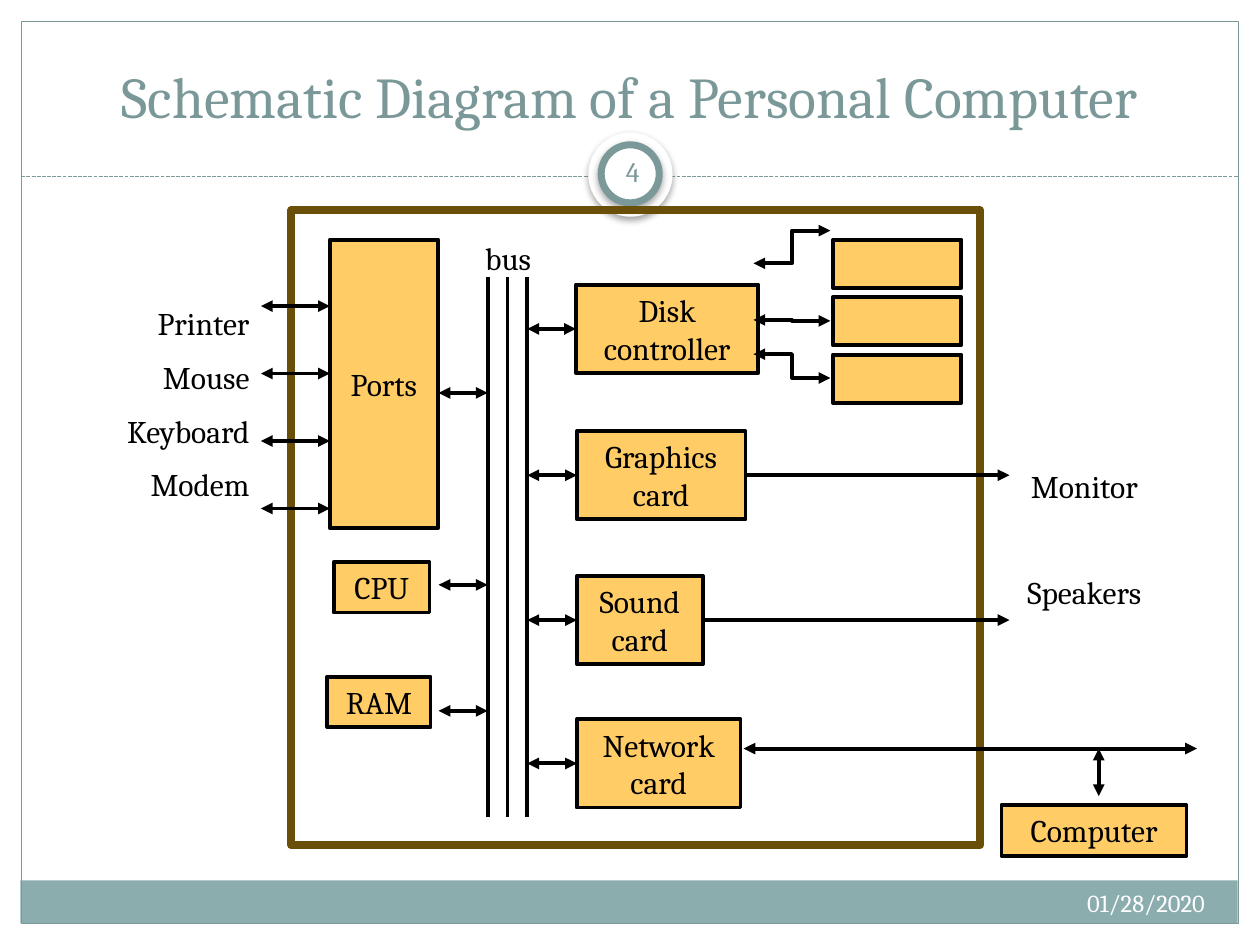
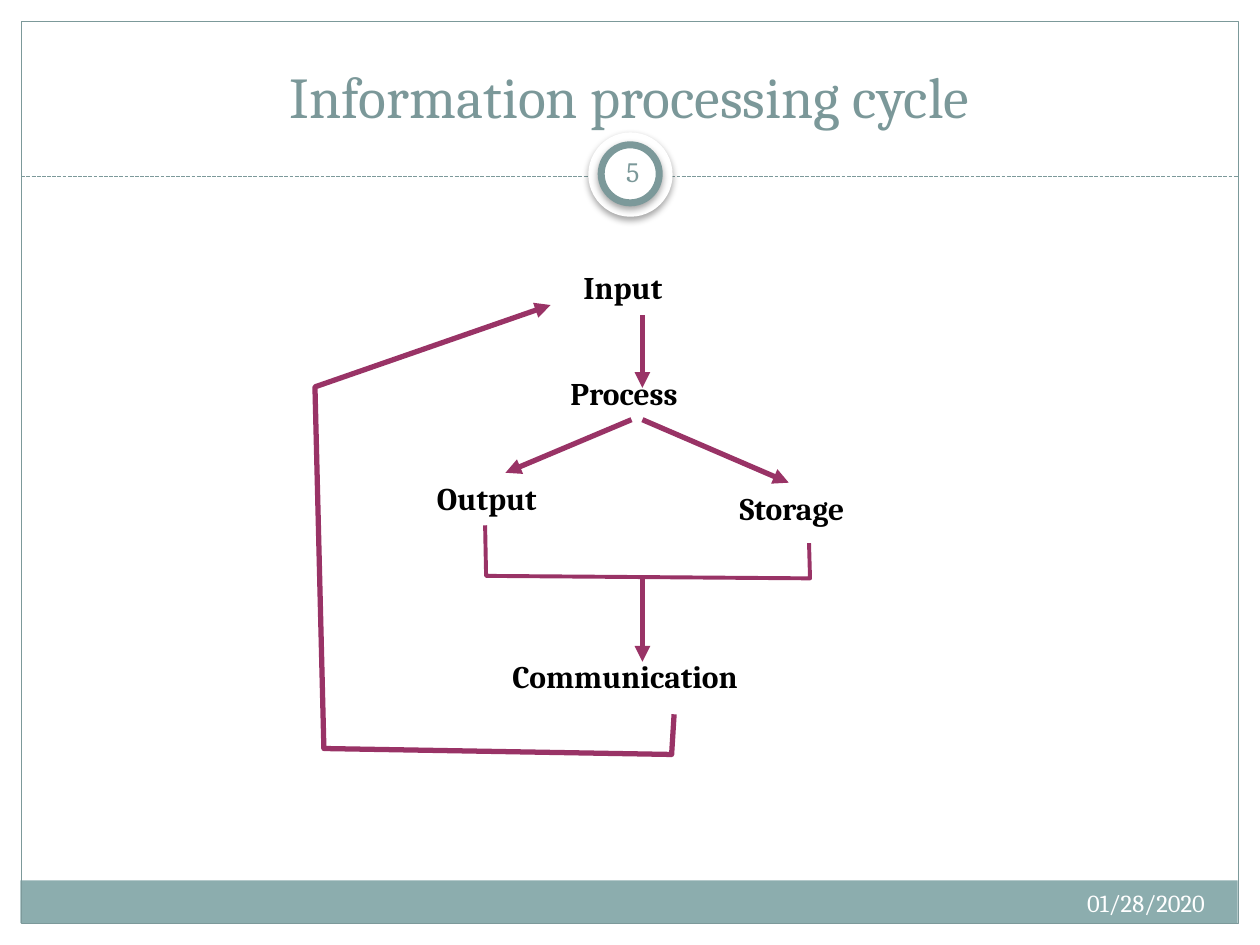
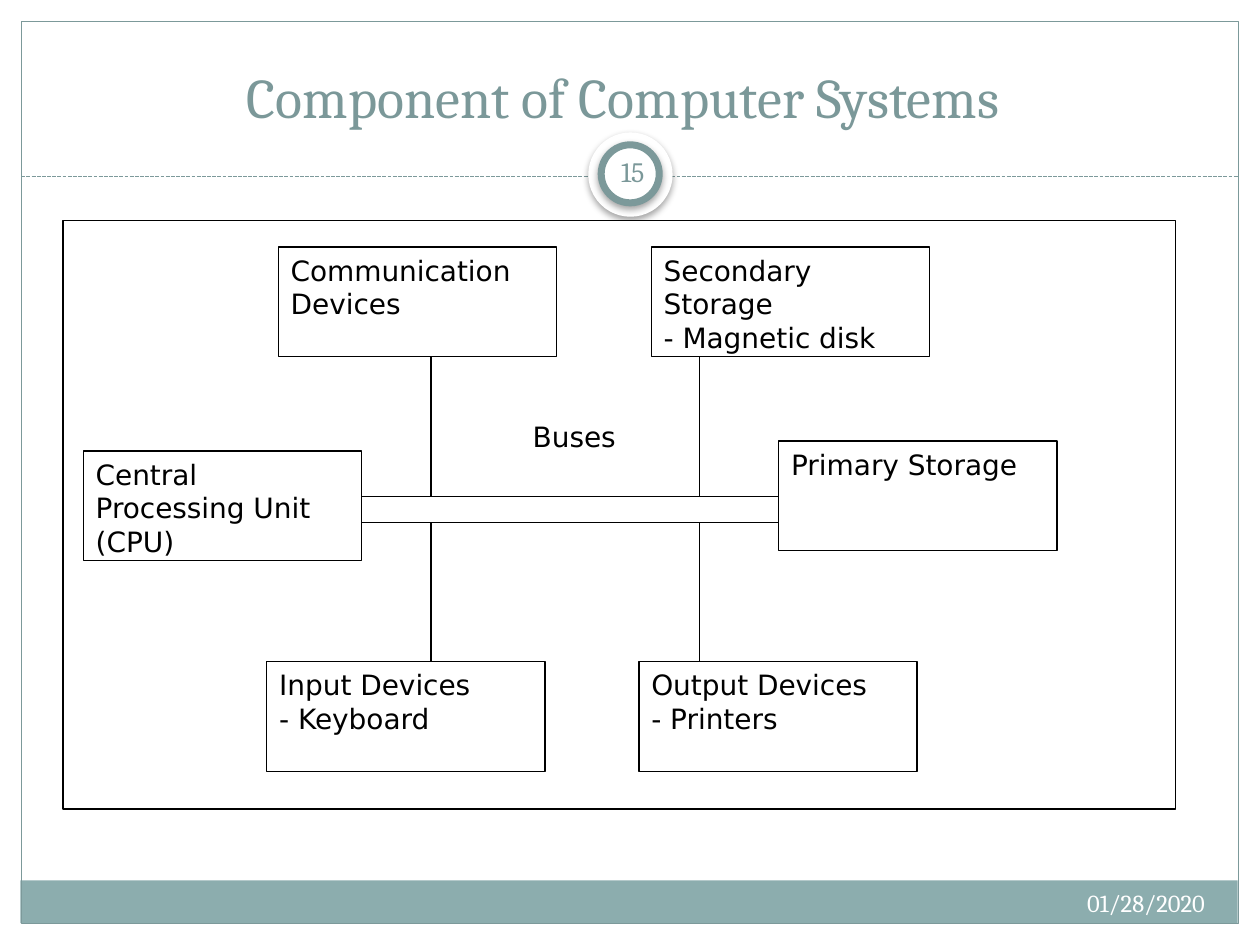
from dataclasses import dataclass, replace
from typing import Optional

from lxml import etree
from pptx import Presentation
from pptx import util as u
from pptx.dml.color import RGBColor
from pptx.enum import dml, shapes, text
from pptx.oxml.ns import qn

WHITE = RGBColor(0xFF, 0xFF, 0xFF)
BLACK = RGBColor(0x00, 0x00, 0x00)
TEAL = RGBColor(0x7C, 0x99, 0x9A)
TEAL_TEXT = RGBColor(0x7B, 0x98, 0x99)
TEAL_BAND = RGBColor(0x8C, 0xAD, 0xAE)
AMBER = RGBColor(0xFF, 0xCC, 0x66)
BROWN = RGBColor(0x69, 0x4F, 0x07)
PLUM = RGBColor(0x99, 0x33, 0x66)

LEFT, CENTER, RIGHT = text.PP_ALIGN.LEFT, text.PP_ALIGN.CENTER, text.PP_ALIGN.RIGHT
TOP, MIDDLE, BOTTOM = text.MSO_ANCHOR.TOP, text.MSO_ANCHOR.MIDDLE, text.MSO_ANCHOR.BOTTOM
RECTANGLE, OVAL = shapes.MSO_SHAPE.RECTANGLE, shapes.MSO_SHAPE.OVAL
STRAIGHT, ELBOW = shapes.MSO_CONNECTOR.STRAIGHT, shapes.MSO_CONNECTOR.ELBOW
LEFT_SIDE, RIGHT_SIDE = 1, 3


@dataclass(frozen=True)
class Box:
    """A rectangle in centimetres."""
    left: float
    top: float
    width: float
    height: float

    def lengths(self) -> tuple:
        return tuple(u.Cm(n) for n in (self.left, self.top, self.width, self.height))


@dataclass(frozen=True)
class TextStyle:
    size: float
    color: RGBColor = BLACK
    font: str = "Cambria"
    bold: bool = False
    align: int = LEFT
    anchor: int = TOP
    space_before: float = 0
    wrap: bool = True


@dataclass(frozen=True)
class Stroke:
    color: RGBColor
    width: float
    head: bool = False
    tail: bool = False


@dataclass(frozen=True)
class Label:
    caption: str
    box: Box


TITLE = TextStyle(33, TEAL_TEXT, align=CENTER, anchor=BOTTOM)
NUMBER = TextStyle(16, TEAL_TEXT, align=CENTER, anchor=MIDDLE)
DATE = TextStyle(14, WHITE, align=RIGHT)
PART = TextStyle(18, align=CENTER, anchor=MIDDLE, space_before=9, wrap=False)
STEP = TextStyle(18, bold=True, wrap=False)
DEVICE = TextStyle(16, font="DejaVu Sans")

THIN_TEAL = Stroke(TEAL, 0.75)
THIN_BLACK = Stroke(BLACK, 0.75)
WIRE = Stroke(BLACK, 2.25)
ONE_WAY = replace(WIRE, tail=True)
TWO_WAY = replace(ONE_WAY, head=True)
FLOW = Stroke(PLUM, 3, tail=True)


def set_stroke(shape, stroke: Stroke) -> None:
    shape.line.color.rgb = stroke.color
    shape.line.width = u.Pt(stroke.width)
    outline = shape.element.spPr.find(qn("a:ln"))
    for tag, wanted in (("a:headEnd", stroke.head), ("a:tailEnd", stroke.tail)):
        if wanted:
            etree.SubElement(outline, qn(tag), type="triangle")


def write(shape, caption: str, style: TextStyle):
    """Fill the shape's text frame; \\n parts paragraphs and \\v breaks a line."""
    frame = shape.text_frame
    frame.word_wrap = style.wrap
    frame.vertical_anchor = style.anchor
    frame.text = caption
    for paragraph in frame.paragraphs:
        paragraph.alignment = style.align
        paragraph.space_before = u.Pt(style.space_before)
        paragraph.font.size = u.Pt(style.size)
        paragraph.font.name = style.font
        paragraph.font.bold = style.bold
        paragraph.font.color.rgb = style.color
    return frame


def add_text(slide, caption: str, box: Box, style: TextStyle):
    return write(slide.shapes.add_textbox(*box.lengths()), caption, style)


def add_figure(slide, box: Box, fill: Optional[RGBColor] = None,
               stroke: Optional[Stroke] = None, kind: int = RECTANGLE):
    shape = slide.shapes.add_shape(kind, *box.lengths())
    shape.shadow.inherit = False
    if fill is None:
        shape.fill.background()
    else:
        shape.fill.solid()
        shape.fill.fore_color.rgb = fill
    if stroke is None:
        shape.line.fill.background()
    else:
        set_stroke(shape, stroke)
    return shape


def add_line(slide, start: tuple, end: tuple, stroke: Stroke, kind: int = STRAIGHT):
    connector = slide.shapes.add_connector(kind, *(u.Cm(n) for n in start + end))
    set_stroke(connector, stroke)
    etree.SubElement(connector.element.spPr, qn("a:effectLst"))
    return connector


def add_link(slide, shape, side: int, end_x: float, stroke: Stroke) -> None:
    """Run a level line from the middle of a shape's side to end_x."""
    middle = (shape.top + shape.height // 2) / u.Cm(1)
    connector = add_line(slide, (end_x, middle), (end_x, middle), stroke)
    connector.begin_connect(shape, side)


def add_path(slide, points: list, stroke: Stroke) -> None:
    (start_x, start_y), *rest = [(u.Cm(x), u.Cm(y)) for x, y in points]
    builder = slide.shapes.build_freeform(start_x, start_y)
    builder.add_line_segments(rest, close=False)
    shape = builder.convert_to_shape()
    shape.shadow.inherit = False
    shape.fill.background()
    set_stroke(shape, stroke)


def add_soft_shadow(shape) -> None:
    effects = shape.element.spPr.find(qn("a:effectLst"))
    shadow = etree.SubElement(effects, qn("a:outerShdw"), blurRad=str(u.Pt(4)),
                              dist=str(u.Pt(2)), dir="5400000", rotWithShape="0")
    color = etree.SubElement(shadow, qn("a:srgbClr"), val=str(BLACK))
    etree.SubElement(color, qn("a:alpha"), val="35000")


def add_base_slide(presentation, title: str, number: int, title_style: TextStyle = TITLE):
    """Add a slide with the band, border, number badge, title and date."""
    slide = presentation.slides.add_slide(presentation.slide_layouts[6])
    add_figure(slide, Box(0.41, 17.75, 24.54, 0.86), TEAL_BAND)
    add_figure(slide, Box(0.43, 0.43, 24.54, 18.19), stroke=THIN_TEAL)
    divider = add_line(slide, (0.43, 3.56), (24.97, 3.56), THIN_TEAL)
    divider.line.dash_style = dml.MSO_LINE.SQUARE_DOT
    badge = Box(11.86, 2.67, 1.7, 1.7)
    ring = Box(12.12, 2.92, 1.17, 1.17)
    for box, stroke in ((badge, None), (ring, Stroke(TEAL, 4))):
        add_soft_shadow(add_figure(slide, box, WHITE, stroke, OVAL))
    add_text(slide, title, Box(0.84, 0.64, 23.7, 2.11), title_style)
    frame = add_text(slide, str(number), Box(12.12, 2.84, 1.27, 1.22), NUMBER)
    frame.margin_left = frame.margin_right = u.Cm(0.13)
    add_text(slide, "01/28/2020", Box(16.08, 17.78, 8.46, 1.02), DATE)
    return slide


def add_schematic_slide(presentation) -> None:
    slide = add_base_slide(presentation, "Schematic Diagram of a Personal Computer", 4)
    add_figure(slide, Box(5.87, 4.24, 13.89, 12.8), stroke=Stroke(BROWN, 4.5))

    parts = [
        Label("Ports", Box(6.65, 4.83, 2.18, 5.82)),
        Label("CPU", Box(6.73, 11.33, 1.93, 1.02)),
        Label("RAM", Box(6.6, 13.64, 2.08, 1.02)),
        Label("Disk\vcontroller", Box(11.61, 5.74, 3.68, 1.78)),
        Label("Graphics\vcard", Box(11.63, 8.69, 3.4, 1.78)),
        Label("Sound\vcard", Box(11.63, 11.61, 2.54, 1.78)),
        Label("Network\vcard", Box(11.63, 14.5, 3.3, 1.78)),
        Label("Computer", Box(20.19, 16.23, 3.73, 1.02)),
    ]
    part_shapes = []
    for part in parts:
        shape = add_figure(slide, part.box, AMBER, WIRE)
        write(shape, part.caption, PART)
        part_shapes.append(shape)
    cards = part_shapes[3:7]
    graphics, sound = cards[1:3]
    for row in range(3):
        add_figure(slide, Box(16.79, 4.83 + 1.16 * row, 2.59, 0.97), AMBER, WIRE)

    add_text(slide, "Printer\nMouse\nKeyboard\nModem", Box(1.7, 6.02, 3.58, 4.24),
             replace(PART, align=RIGHT))
    add_text(slide, "bus", Box(9.42, 4.7, 1.65, 1.02), PART)
    outputs = add_text(slide, "Monitor\nSpeakers", Box(20.12, 9.27, 3.48, 3.18), PART)
    outputs.paragraphs[1].space_before = u.Pt(39)

    bus_left, bus_gap = 9.83, 0.4
    bus_right = bus_left + 2 * bus_gap
    for wire in range(3):
        x = bus_left + bus_gap * wire
        add_line(slide, (x, 5.59), (x, 16.46), WIRE)
    for card in cards:
        add_link(slide, card, LEFT_SIDE, bus_right, TWO_WAY)
    for y in (7.92, 11.79, 14.33):
        add_line(slide, (bus_left, y), (8.84, y), TWO_WAY)
    for row in range(4):
        y = 6.17 + 1.36 * row
        add_line(slide, (6.65, y), (5.26, y), TWO_WAY)

    for start_y, end_y in ((5.31, 4.65), (6.45, 6.47), (7.14, 7.62)):
        add_line(slide, (15.19, start_y), (16.74, end_y), TWO_WAY, ELBOW)
    for card in (graphics, sound):
        add_link(slide, card, RIGHT_SIDE, 20.35, ONE_WAY)
    network_y = 15.09
    add_line(slide, (14.99, network_y), (24.13, network_y), TWO_WAY)
    add_line(slide, (22.15, network_y), (22.15, 16.05), TWO_WAY)


def add_cycle_slide(presentation) -> None:
    slide = add_base_slide(presentation, "Information processing cycle", 5)
    axis = 12.95
    arrows = [
        ((axis, 6.35), (axis, 7.82)),
        ((12.73, 8.46), (10.19, 9.53)),
        ((axis, 8.46), (15.9, 9.73)),
        ((axis, 11.63), (axis, 13.34)),
    ]
    for start, end in arrows:
        add_line(slide, start, end, FLOW)

    steps = [
        Label("Input", Box(11.51, 5.28, 2.46, 1.02)),
        Label("Process", Box(11.25, 7.42, 3.23, 1.02)),
        Label("Output", Box(8.56, 9.53, 3, 1.02)),
        Label("Storage", Box(14.66, 9.73, 3.28, 1.02)),
        Label("Communication", Box(10.08, 13.13, 6.15, 1.02)),
    ]
    for step in steps:
        add_text(slide, step.caption, step.box, STEP)

    merge = [(9.78, 10.59), (9.8, 11.61), (16.33, 11.66), (16.31, 10.95)]
    add_path(slide, merge, Stroke(PLUM, 2.25))
    feedback = [(13.59, 14.4), (13.54, 15.21), (6.53, 15.09), (6.35, 7.8), (11.1, 6.15)]
    add_path(slide, feedback, FLOW)


def add_components_slide(presentation) -> None:
    slide = add_base_slide(presentation, "Component of Computer Systems ", 15,
                           replace(TITLE, size=32))
    add_figure(slide, Box(1.27, 4.45, 22.43, 11.86), WHITE, THIN_BLACK)
    devices = [
        ("Communication Devices", 5.61, 4.98),
        ("Secondary Storage\n- Magnetic disk", 13.13, 4.98),
        ("Central Processing Unit (CPU)", 1.68, 9.09),
        ("Primary Storage", 15.7, 8.89),
        ("Input Devices\n- Keyboard", 5.38, 13.34),
        ("Output Devices\n- Printers", 12.88, 13.34),
    ]
    for caption, left, top in devices:
        shape = add_figure(slide, Box(left, top, 5.61, 2.21), WHITE, THIN_BLACK)
        write(shape, caption, DEVICE)

    bus_top, bus_bottom = 10.01, 10.54
    for y in (bus_top, bus_bottom):
        add_line(slide, (7.29, y), (15.7, y), THIN_BLACK)
    for x in (8.69, 14.1):
        add_line(slide, (x, 7.2), (x, bus_top), THIN_BLACK)
        add_line(slide, (x, 13.34), (x, bus_bottom), THIN_BLACK)
    write(add_figure(slide, Box(10.49, 8.33, 3.2, 1.12), WHITE), "Buses", DEVICE)


def main() -> None:
    presentation = Presentation()
    presentation.slide_width = u.Cm(25.4)
    presentation.slide_height = u.Cm(19.05)
    add_schematic_slide(presentation)
    add_cycle_slide(presentation)
    add_components_slide(presentation)
    presentation.save("out.pptx")


if __name__ == "__main__":
    main()
